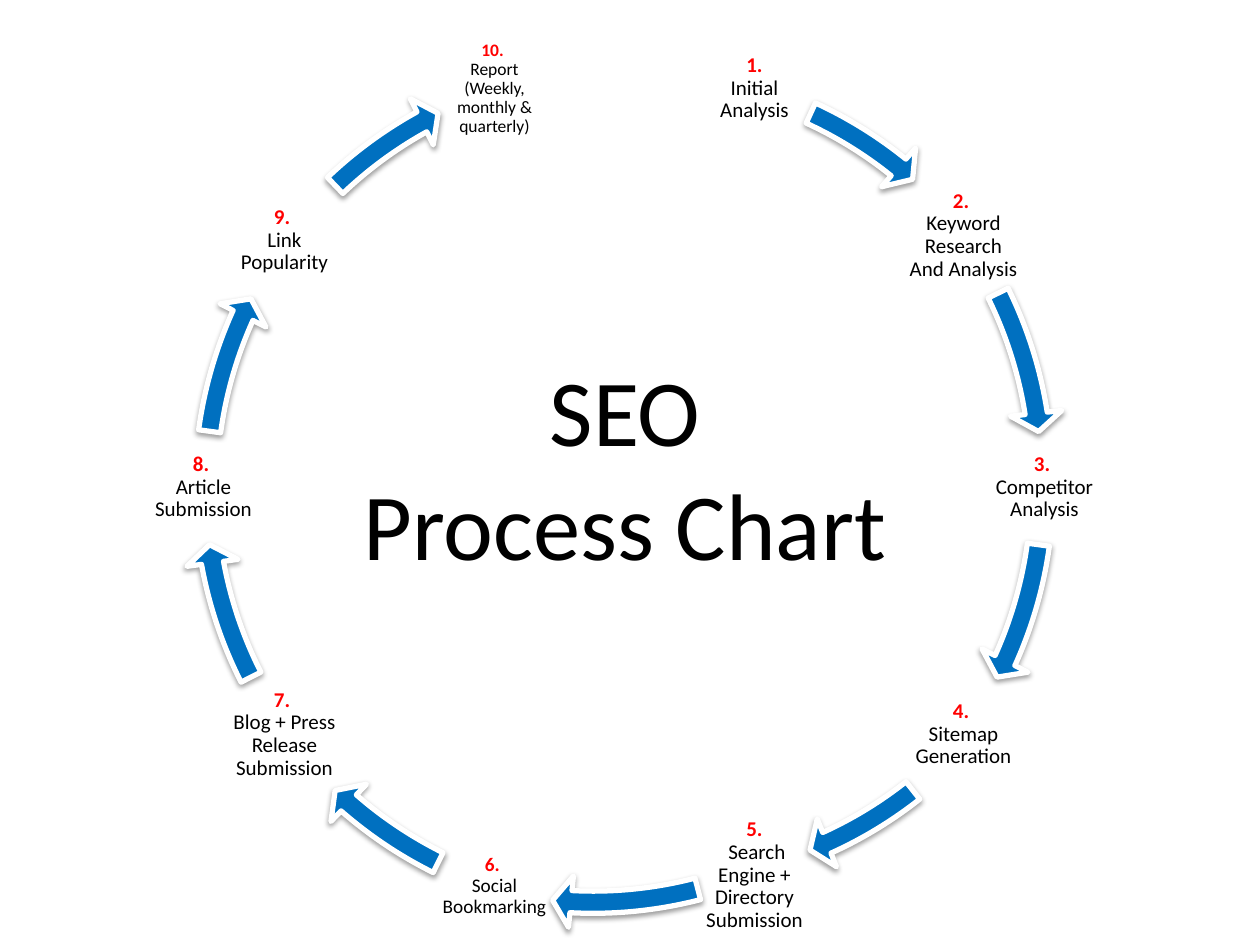
from lxml.etree import SubElement
from pptx import Presentation
from pptx.dml.color import RGBColor
from pptx.enum.shapes import MSO_SHAPE as Shape
from pptx.enum.text import MSO_ANCHOR as Anchor, MSO_AUTO_SIZE as AutoSize, PP_ALIGN as Align
from pptx.oxml.ns import qn
from pptx.util import Pt

SCALE = 914400 / 126
FONT = "Calibri"
BLACK, WHITE, RED, BLUE = "000000", "FFFFFF", "FF0000", "0070C0"
TITLE = ["SEO", "Process Chart"]
TITLE_BOX = (189, 346, 872, 242)
TOP_GAP_BOX = (536, 0, 179, 147)
LABEL_SIZE = 113
RING_SIZE = 888
RING = (180, 44)

# number, label, label corner, font size, inset, ring corner, arrow start and end in degrees
STEPS = [
    ("1.", "Initial Analysis", (698, 32), 12, 2, (192, 49), 294.71, 308.89),
    ("2. ", "Keyword Research And Analysis", (907, 179), 12, 2, (179, 34), 333.77, 351.11),
    ("3. ", "Competitor Analysis", (988, 431), 12, 2, RING, 7.79, 24.37),
    ("4. ", "Sitemap Generation", (907, 678), 12, 2, (210, 18), 51.75, 65.58),
    ("5.", " Search Engine + Directory Submission", (698, 819), 12, 2, (149, 40), 75.49, 93.02),
    ("6. ", "Social Bookmarking", (438, 830), 11, 2, RING, 116.39, 131.16),
    ("7. ", "Blog + Press Release Submission", (228, 678), 12, 2, RING, 153.11, 169.69),
    ("8. ", "Article Submission", (147, 431), 12, 2, RING, 187.79, 204.37),
    ("9. ", "Link Popularity", (228, 184), 12, 2, RING, 226.32, 241.09),
    ("10. ", "Report\v(Weekly, monthly & quarterly)", (438, 32), 10, 1, RING, 260.01, 277.47),
]


def px(*values):
    return [round(value * SCALE) for value in values]


def color(hex_code):
    return RGBColor.from_string(hex_code)


def set_font(font, size, hex_code):
    font.name, font.size, font.color.rgb = FONT, Pt(size), color(hex_code)


def set_insets(frame, inset):
    frame.margin_left = frame.margin_top = frame.margin_right = frame.margin_bottom = px(inset)[0]


def add_label(number, label, corner, size, inset):
    frame = slide.shapes.add_textbox(*px(*corner, LABEL_SIZE, LABEL_SIZE)).text_frame
    frame.word_wrap = True
    frame.vertical_anchor = Anchor.MIDDLE
    set_insets(frame, inset)
    paragraph = frame.paragraphs[0]
    paragraph.alignment = Align.CENTER
    paragraph.line_spacing = 0.9
    set_font(paragraph.font, size, BLACK)
    number_run = paragraph.add_run()
    number_run.text = number
    set_font(number_run.font, size, RED)
    number_run.font.bold = True
    for line in label.split("\v"):
        paragraph.add_line_break()
        label_run = paragraph.add_run()
        label_run.text = line
        set_font(label_run.font, size, BLACK)


def add_arrow(corner, start, end):
    arrow = slide.shapes.add_shape(Shape.CIRCULAR_ARROW, *px(*corner, RING_SIZE, RING_SIZE))
    angles = [degrees * 0.6 for degrees in (2.52, end, start)]
    for index, value in enumerate([0.025, *angles, 0.029]):
        arrow.adjustments[index] = value
    arrow.fill.solid()
    arrow.fill.fore_color.rgb = color(BLUE)
    arrow.line.color.rgb = color(WHITE)
    arrow.line.width = Pt(3)
    arrow.shadow.inherit = False
    effects = arrow.element.spPr.find(qn("a:effectLst"))
    shadow = SubElement(effects, qn("a:outerShdw"), blurRad=str(Pt(3.1)), dist=str(Pt(1.6)),
                        dir="5400000", rotWithShape="0")
    shade = SubElement(shadow, qn("a:srgbClr"), val=BLACK)
    SubElement(shade, qn("a:alpha"), val="38000")


presentation = Presentation()
presentation.slide_width, presentation.slide_height = px(1260, 945)
slide = presentation.slides.add_slide(presentation.slide_layouts[5])

title = slide.shapes.title
title.left, title.top, title.width, title.height = px(*TITLE_BOX)
title_frame = title.text_frame
title_frame.text = "\n".join(TITLE)
title_frame.word_wrap = True
title_frame.auto_size = AutoSize.SHAPE_TO_FIT_TEXT
title_frame.vertical_anchor = Anchor.TOP
for paragraph in title_frame.paragraphs:
    paragraph.alignment = Align.CENTER
    set_font(paragraph.font, 54, BLACK)

for number, label, label_corner, size, inset, ring_corner, start, end in STEPS:
    add_label(number, label, label_corner, size, inset)
    add_arrow(ring_corner, start, end)

top_gap = slide.shapes.add_shape(Shape.RECTANGLE, *px(*TOP_GAP_BOX))
top_gap.fill.solid()
top_gap.fill.fore_color.rgb = color(WHITE)
top_gap.line.fill.background()
top_gap.shadow.inherit = False

presentation.save("out.pptx")
